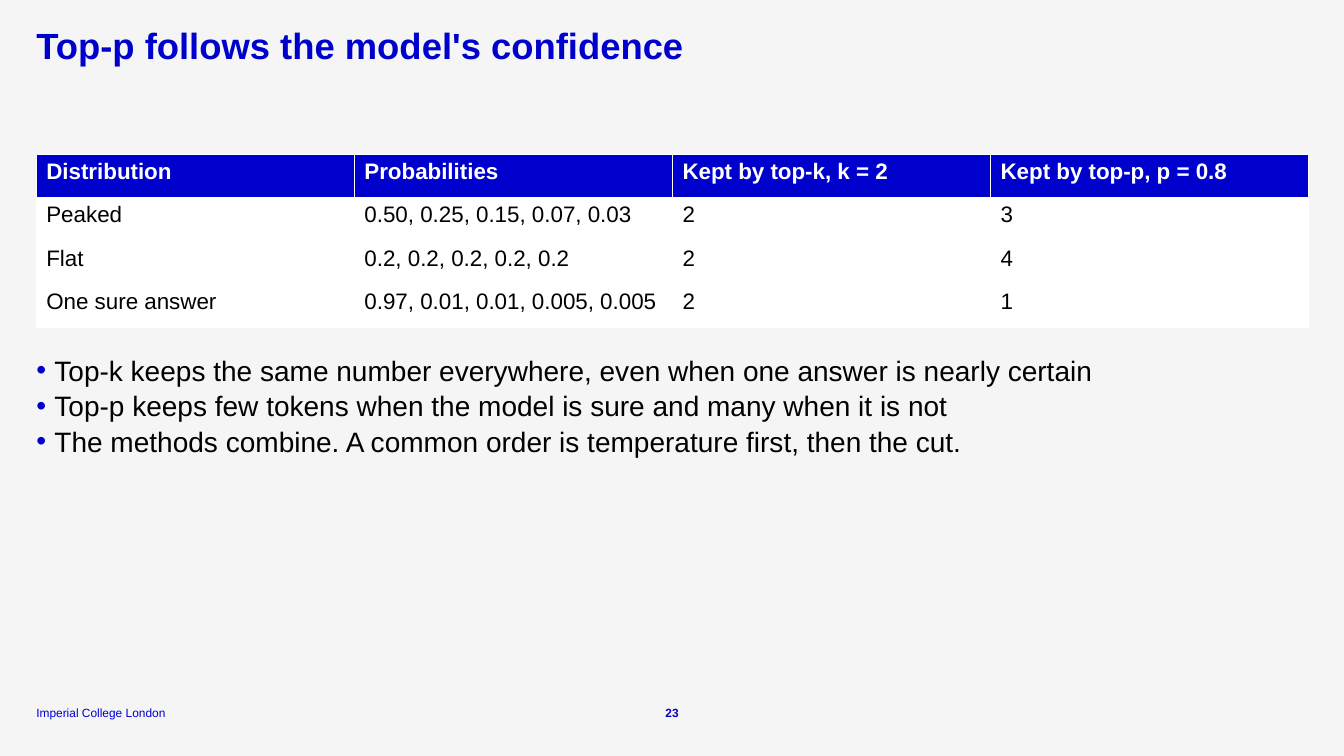
from lxml import etree
from pptx import Presentation
from pptx.dml.color import RGBColor
from pptx.enum.text import MSO_ANCHOR, MSO_AUTO_SIZE, PP_ALIGN
from pptx.oxml.ns import qn
from pptx.util import Inches, Pt

TOP, BOTTOM = MSO_ANCHOR.TOP, MSO_ANCHOR.BOTTOM
LEFT, CENTER = PP_ALIGN.LEFT, PP_ALIGN.CENTER
NO_AUTOFIT = MSO_AUTO_SIZE.NONE

# Content
TITLE = "Top-p follows the model's confidence"
RESULTS = [
    ("Distribution", "Probabilities", "Kept by top-k, k = 2", "Kept by top-p, p = 0.8"),
    ("Peaked", "0.50, 0.25, 0.15, 0.07, 0.03", "2", "3"),
    ("Flat", "0.2, 0.2, 0.2, 0.2, 0.2", "2", "4"),
    ("One sure answer", "0.97, 0.01, 0.01, 0.005, 0.005", "2", "1"),
]
TAKEAWAYS = [
    "Top-k keeps the same number everywhere, even when one answer is nearly certain",
    "Top-p keeps few tokens when the model is sure and many when it is not",
    "The methods combine. A common order is temperature first, then the cut.",
]
FOOTER = "Imperial College London"
PAGE_NUMBER = "23"

# Look
FONT = "Arial"
BLUE, BLACK, WHITE, PALE = "0000CD", "000000", "FFFFFF", "F5F5F5"
MARGIN, CONTENT_WIDTH = 0.36, 12.62
ROW_HEIGHT = 0.43
BULLET_INDENT = 0.18
FOOTER_TOP, FOOTER_HEIGHT = 6.99, 0.15


def rgb(code):
    return RGBColor.from_string(code)


def add_bullet(paragraph):
    properties = paragraph._p.get_or_add_pPr()
    properties.set("marL", str(Inches(BULLET_INDENT)))
    properties.set("indent", str(-Inches(BULLET_INDENT)))
    bullet_color = etree.SubElement(properties, qn("a:buClr"))
    etree.SubElement(bullet_color, qn("a:srgbClr"), val=BLUE)
    etree.SubElement(properties, qn("a:buFont"), typeface=FONT)
    etree.SubElement(properties, qn("a:buChar"), char="•")


def write(frame, *lines, size, color=BLACK, bold=False, align=LEFT,
          spacing=None, bulleted=False):
    for index, line in enumerate(lines):
        paragraph = frame.add_paragraph() if index else frame.paragraphs[0]
        if bulleted:
            add_bullet(paragraph)
        paragraph.alignment = align
        paragraph.line_spacing = spacing
        run = paragraph.add_run()
        run.text = line
        font = run.font
        font.name, font.size, font.bold = FONT, Pt(size), bold
        font.color.rgb = rgb(color)


def set_frame(shape, anchor=TOP):
    frame = shape.text_frame
    frame.auto_size = NO_AUTOFIT
    frame.word_wrap = True
    frame.vertical_anchor = anchor
    frame.margin_left = frame.margin_right = 0
    frame.margin_top = frame.margin_bottom = 0
    return frame


def add_box(slide, left, top, width, height, anchor=TOP):
    box = slide.shapes.add_textbox(*map(Inches, (left, top, width, height)))
    return set_frame(box, anchor)


def add_results(slide):
    rows, columns = len(RESULTS), len(RESULTS[0])
    table = slide.shapes.add_table(
        rows, columns, Inches(MARGIN), Inches(1.53),
        Inches(CONTENT_WIDTH), Inches(rows * ROW_HEIGHT)).table
    for row, values in enumerate(RESULTS):
        header = row == 0
        for column, value in enumerate(values):
            cell = table.cell(row, column)
            cell.fill.solid()
            cell.fill.fore_color.rgb = rgb(BLUE if header else WHITE)
            write(cell.text_frame, value, size=16, bold=header,
                  color=WHITE if header else BLACK)


def main():
    presentation = Presentation()
    presentation.slide_width = Inches(13.33)
    presentation.slide_height = Inches(7.5)
    slide = presentation.slides.add_slide(presentation.slide_layouts[5])
    slide.background.fill.solid()
    slide.background.fill.fore_color.rgb = rgb(PALE)

    # Title
    title = slide.shapes.title
    title.left, title.top = Inches(MARGIN), Inches(0.28)
    title.width, title.height = Inches(CONTENT_WIDTH), Inches(0.41)
    write(set_frame(title), TITLE, size=26, color=BLUE, bold=True, spacing=0.9)

    # Table and takeaways
    add_results(slide)
    takeaways = add_box(slide, MARGIN, 3.49, CONTENT_WIDTH, 1.49)
    write(takeaways, *TAKEAWAYS, size=20, spacing=1.05, bulleted=True)

    # Footer and page number
    footer = add_box(slide, MARGIN, FOOTER_TOP, 1.55, FOOTER_HEIGHT, BOTTOM)
    write(footer, FOOTER, size=8.5, color=BLUE)
    page = add_box(slide, 6.49, FOOTER_TOP, 0.35, FOOTER_HEIGHT, BOTTOM)
    write(page, PAGE_NUMBER, size=8.5, color=BLUE, bold=True, align=CENTER)

    presentation.save("out.pptx")


if __name__ == "__main__":
    main()
